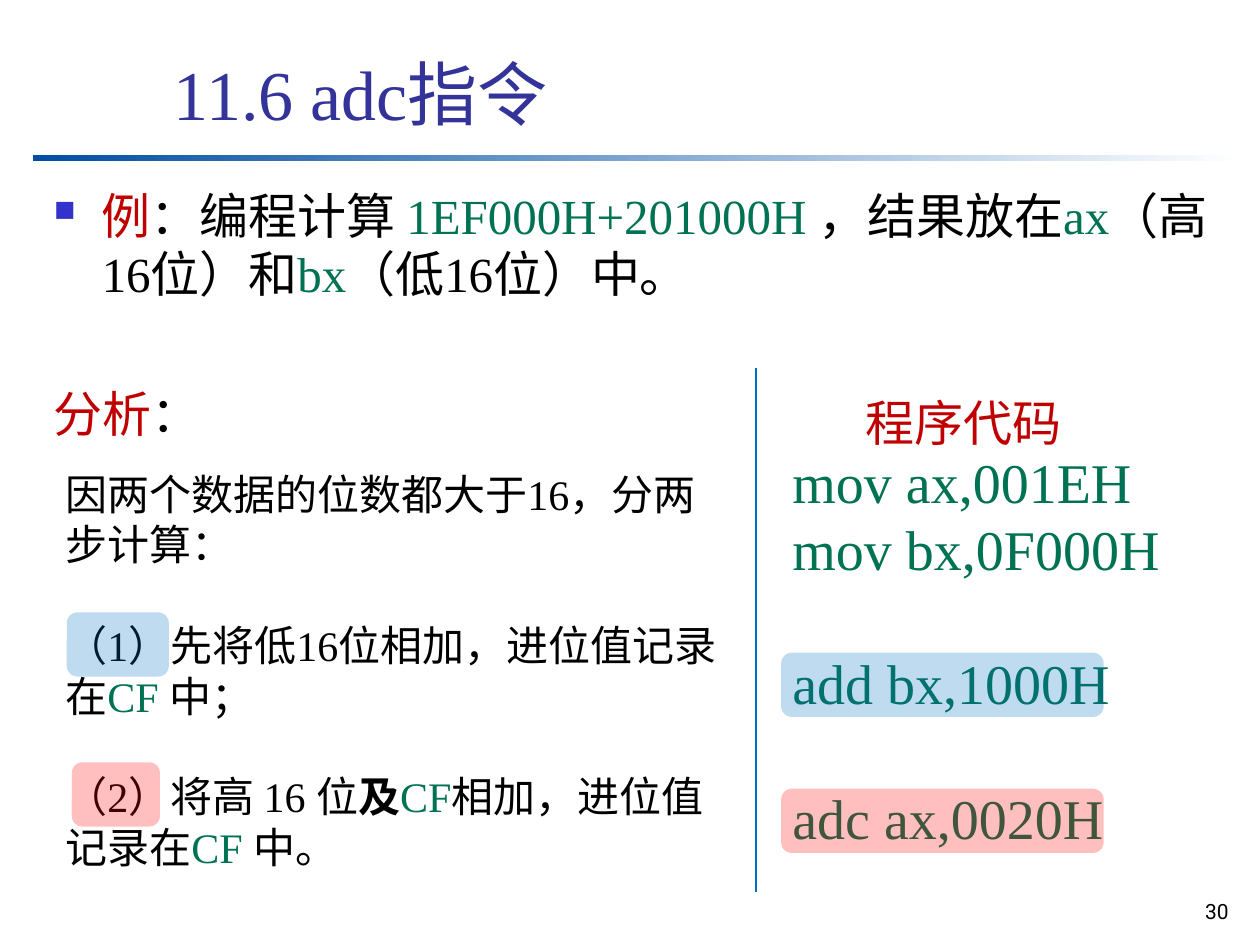
from lxml.etree import SubElement
from pptx import Presentation
from pptx.dml.color import RGBColor
from pptx.enum.shapes import MSO_CONNECTOR, MSO_SHAPE
from pptx.enum.text import MSO_ANCHOR, PP_ALIGN
from pptx.oxml.ns import qn
from pptx.util import Inches, Pt

COLOURS = {
    "title": "333399", "text": "000000", "key": "C00000", "code": "007254",
    "bullet": "3333CC", "bar": "004EA2", "white": "FFFFFF",
    "low": "0070C0", "high": "FF0000",
}


def rgb(name):
    return RGBColor.from_string(COLOURS[name])


class SlideBuilder:
    font = "Times New Roman"

    def __init__(self, page):
        self.page = page

    def text(self, area, paragraphs, size, font=None, **frame_format):
        """Each paragraph is (spans, format); each span is (text, colour[, bold])."""
        box = self.page.shapes.add_textbox(*map(Inches, area))
        frame = box.text_frame
        for name, value in {"word_wrap": True, **frame_format}.items():
            setattr(frame, name, value)
        for index, (spans, paragraph_format) in enumerate(paragraphs):
            para = frame.add_paragraph() if index else frame.paragraphs[0]
            for name, value in paragraph_format.items():
                setattr(para, name, value)
            for words, colour, *bold in spans:
                span = para.add_run()
                span.text = words
                style = {"size": Pt(size), "name": font or self.font, "bold": bool(bold)}
                for name, value in style.items():
                    setattr(span.font, name, value)
                span.font.color.rgb = rgb(colour)
        return frame

    def bullet(self, para, indent):
        properties = para._p.get_or_add_pPr()
        properties.set("marL", str(Inches(indent)))
        properties.set("indent", str(-Inches(indent)))
        colour = SubElement(properties, qn("a:buClr"))
        SubElement(colour, qn("a:srgbClr"), val=COLOURS["bullet"])
        SubElement(properties, qn("a:buSzPct"), val="60000")
        SubElement(properties, qn("a:buChar"), char="■")

    def gradient_bar(self, area, start, end):
        bar = self.page.shapes.add_shape(MSO_SHAPE.RECTANGLE, *map(Inches, area))
        bar.shadow.inherit = False
        bar.line.fill.background()
        bar.fill.gradient()
        bar.fill.gradient_angle = 0
        for stop, colour, position in zip(bar.fill.gradient_stops, (start, end), (0, 1)):
            stop.color.rgb = rgb(colour)
            stop.position = position

    def highlight(self, area, colour):
        patch = self.page.shapes.add_shape(MSO_SHAPE.ROUNDED_RECTANGLE, *map(Inches, area))
        patch.shadow.inherit = False
        patch.line.fill.background()
        patch.fill.solid()
        patch.fill.fore_color.rgb = rgb(colour)
        tint = patch._element.spPr.find(qn("a:solidFill")).find(qn("a:srgbClr"))
        SubElement(tint, qn("a:alpha"), val="25000")

    def line(self, start, end, colour):
        line = self.page.shapes.add_connector(
            MSO_CONNECTOR.STRAIGHT, *map(Inches, start + end))
        line.line.color.rgb = rgb(colour)
        line.line.width = Pt(0.75)
        SubElement(line._element.spPr, qn("a:effectLst"))


def main():
    deck = Presentation()
    deck.slide_width, deck.slide_height = Inches(10), Inches(7.5)
    slide = SlideBuilder(deck.slides.add_slide(deck.slide_layouts[6]))

    # Header and page number
    slide.gradient_bar((0.26, 1.23, 9.6, 0.05), "bar", "white")
    slide.text((9.18, 7.08, 0.67, 0.33),
               [([("30", "text")], {"alignment": PP_ALIGN.RIGHT})], 12, "Roboto")
    slide.text((1.28, 0.18, 8.52, 0.94), [([("11.6 adc指令", "title")], {})], 40,
               vertical_anchor=MSO_ANCHOR.BOTTOM)

    # Exercise and analysis heading
    exercise = [("例", "key"), ("：编程计算 ", "text"), ("1EF000H+201000H ", "code"),
                ("，结果放在", "text"), ("ax", "code"), ("（高16位）和", "text"),
                ("bx", "code"), ("（低16位）中。", "text")]
    analysis = [("分析", "key"), ("：", "text")]
    body = slide.text((0.33, 1.42, 9.46, 5.67),
                      [(exercise, {}), (analysis, {"space_before": Pt(46)})], 28)
    slide.bullet(body.paragraphs[0], 0.38)

    # Analysis steps
    step_gap = {"space_before": Pt(28.8)}
    slide.text((0.42, 3.67, 5.5, 3.3), [
        ([("因两个数据的位数都大于16，分两步计算：", "text")], {}),
        ([("（1）先将低16位相加，进位值记录在", "text"), ("CF ", "code"),
          ("中；", "text")], step_gap),
        ([("（2）将高 16 位", "text"), ("及", "text", True), ("CF", "code"),
          ("相加，进位值记录在", "text"), ("CF ", "code"), ("中。", "text")], step_gap),
    ], 24)

    # Program code
    code_gap = {"space_before": Pt(38.4)}
    code = [("mov ax,001EH", {}), ("mov bx,0F000H", {}),
            ("add bx,1000H", code_gap), ("adc ax,0020H", code_gap)]
    slide.text((6.19, 3.5, 3.42, 3.3),
               [([(words, "code")], {"line_spacing": Pt(38.4), **gap})
                for words, gap in code], 32)
    slide.text((6.77, 3.07, 1.75, 0.57), [([("程序代码", "key")], {})], 28,
               word_wrap=False)

    # Matching steps and instructions
    for area, colour in [((6.2, 6.26, 2.56, 0.51), "high"),
                         ((6.2, 5.18, 2.56, 0.51), "low"),
                         ((0.57, 6.05, 0.7, 0.51), "high"),
                         ((0.53, 4.86, 0.81, 0.51), "low")]:
        slide.highlight(area, colour)

    # Divider
    slide.line((6, 2.92), (6, 7.08), "low")
    deck.save("out.pptx")


if __name__ == "__main__":
    main()
